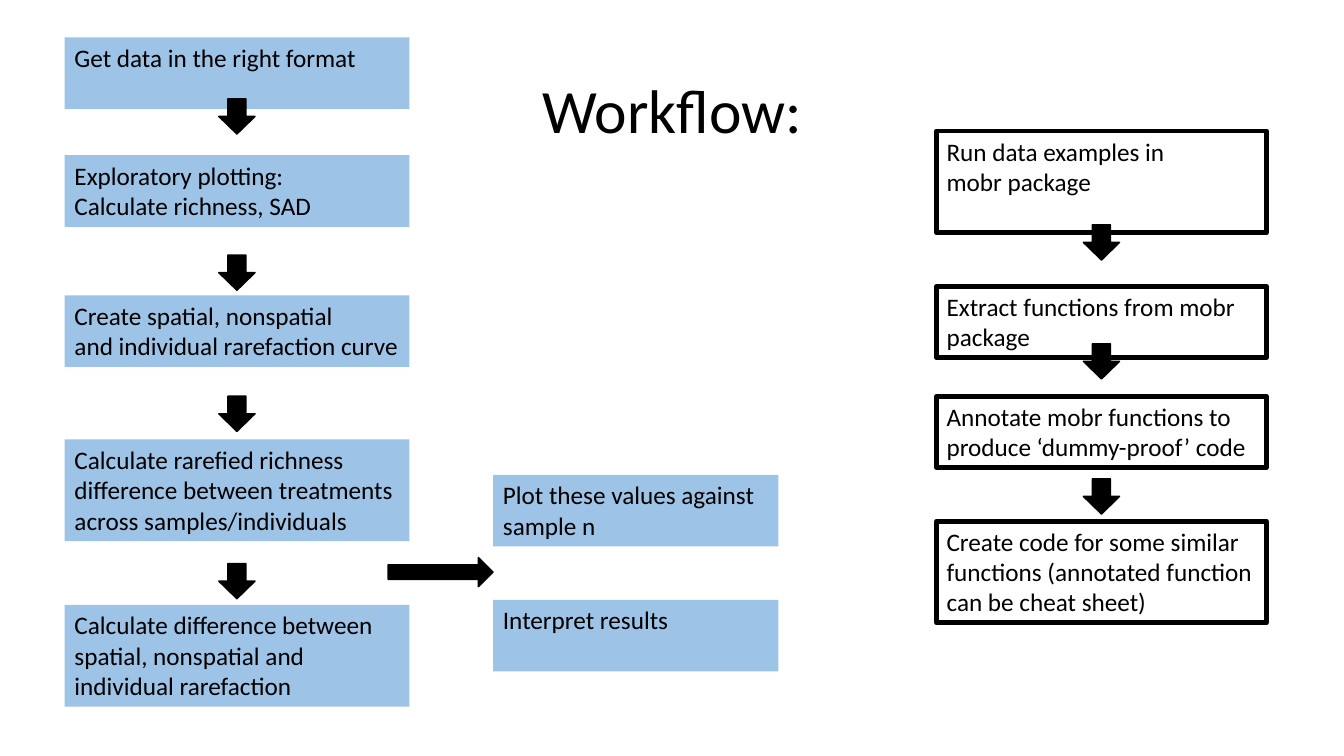
from pptx import Presentation
from pptx.dml.color import RGBColor
from pptx.enum import shapes, text
from pptx.util import Inches, Pt

BLUE = RGBColor(0x9D, 0xC3, 0xE6)
BLACK = RGBColor(0, 0, 0)
FONT = "Calibri"
LINE_HEIGHTS = {2: 0.71, 3: 1.01}

TITLE = "Workflow:"
COLUMNS = [
    {"left": 0.64, "width": 3.42, "filled": True,
     "steps": [
         (0.37, 2, ["Get data in the right format"]),
         (1.54, 2, ["Exploratory plotting:", "Calculate richness, SAD"]),
         (2.93, 2, ["Create spatial, nonspatial", "and individual rarefaction curve"]),
         (4.36, 3, ["Calculate rarefied richness difference between treatments "
                    "across samples/individuals"]),
         (6.0, 3, ["Calculate difference between", "spatial, nonspatial and",
                   "individual rarefaction"]),
     ],
     "arrows": [0.98, 2.53, 3.93, 5.59]},
    {"left": 4.89, "width": 2.83, "filled": True,
     "steps": [
         (4.71, 2, ["Plot these values against sample n"]),
         (5.95, 2, ["Interpret results"]),
     ],
     "arrows": []},
    {"left": 9.29, "width": 3.27, "filled": False,
     "steps": [
         (1.3, 3, ["Run data examples in", "mobr package"]),
         (2.84, 2, ["Extract functions from mobr package"]),
         (3.93, 2, ["Annotate mobr functions to", "produce ‘dummy-proof’ code"]),
         (5.17, 3, ["Create code for some similar functions "
                    "(annotated function can be cheat sheet)"]),
     ],
     "arrows": [2.23, 3.41, 4.75]},
]
DOWN_WIDTH, DOWN_HEIGHT = 0.36, 0.35
BRANCH = (3.85, 5.53, 1.04, 0.29)


def write(box, lines, size=18, align=text.PP_ALIGN.LEFT,
          anchor=text.MSO_ANCHOR.TOP, spacing=1.0):
    frame = box.text_frame
    frame.word_wrap = True
    frame.vertical_anchor = anchor
    frame.text = "\n".join(lines)
    for para in frame.paragraphs:
        para.alignment = align
        para.line_spacing = spacing
        for span in para.runs:
            span.font.name = FONT
            span.font.size = Pt(size)
            span.font.color.rgb = BLACK


def add_shape(kind, area, fill=None, line=None):
    shape = page.shapes.add_shape(kind, *map(Inches, area))
    shape.shadow.inherit = False
    if fill is None:
        shape.fill.background()
    else:
        shape.fill.solid()
        shape.fill.fore_color.rgb = fill
    if line is None:
        shape.line.fill.background()
    else:
        shape.line.color.rgb = BLACK
        shape.line.width = Pt(line)
    return shape


deck = Presentation()
deck.slide_width, deck.slide_height = Inches(13.33), Inches(7.5)
page = deck.slides.add_slide(deck.slide_layouts[5])

title = page.shapes.title
title.left, title.top = Inches(0.92), Inches(0.4)
title.width, title.height = Inches(11.5), Inches(1.45)
write(title, [TITLE], size=44, align=text.PP_ALIGN.CENTER,
      anchor=text.MSO_ANCHOR.MIDDLE, spacing=0.9)

for column in COLUMNS:
    left, width = column["left"], column["width"]
    style = {"fill": BLUE} if column["filled"] else {"line": 3.5}
    for top, rows, lines in column["steps"]:
        area = (left, top, width, LINE_HEIGHTS[rows])
        write(add_shape(shapes.MSO_SHAPE.RECTANGLE, area, **style), lines)
    arrow_left = left + (width - DOWN_WIDTH) / 2
    for top in column["arrows"]:
        add_shape(shapes.MSO_SHAPE.DOWN_ARROW,
                  (arrow_left, top, DOWN_WIDTH, DOWN_HEIGHT), fill=BLACK, line=1)

add_shape(shapes.MSO_SHAPE.RIGHT_ARROW, BRANCH, fill=BLACK, line=1)

deck.save("out.pptx")
